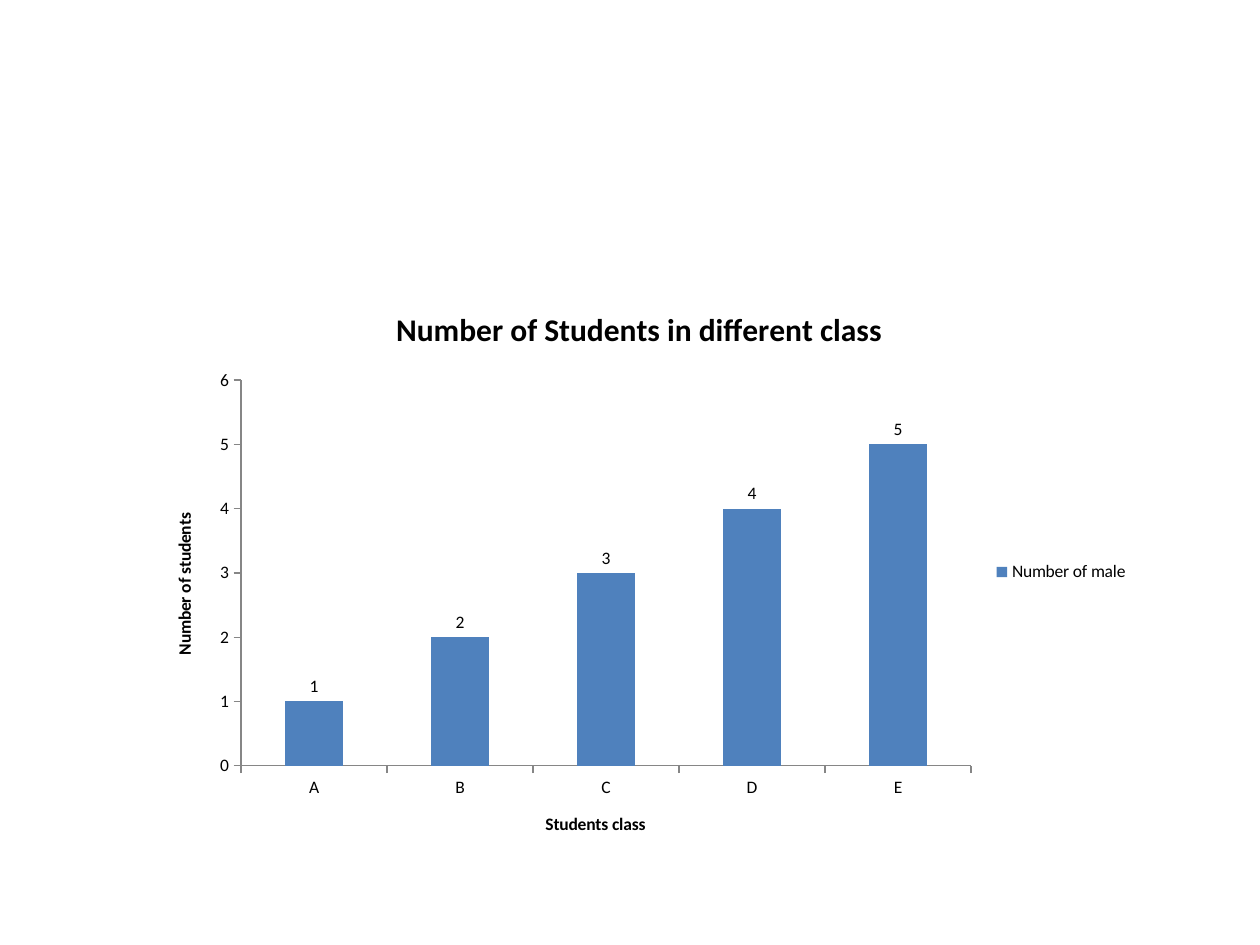
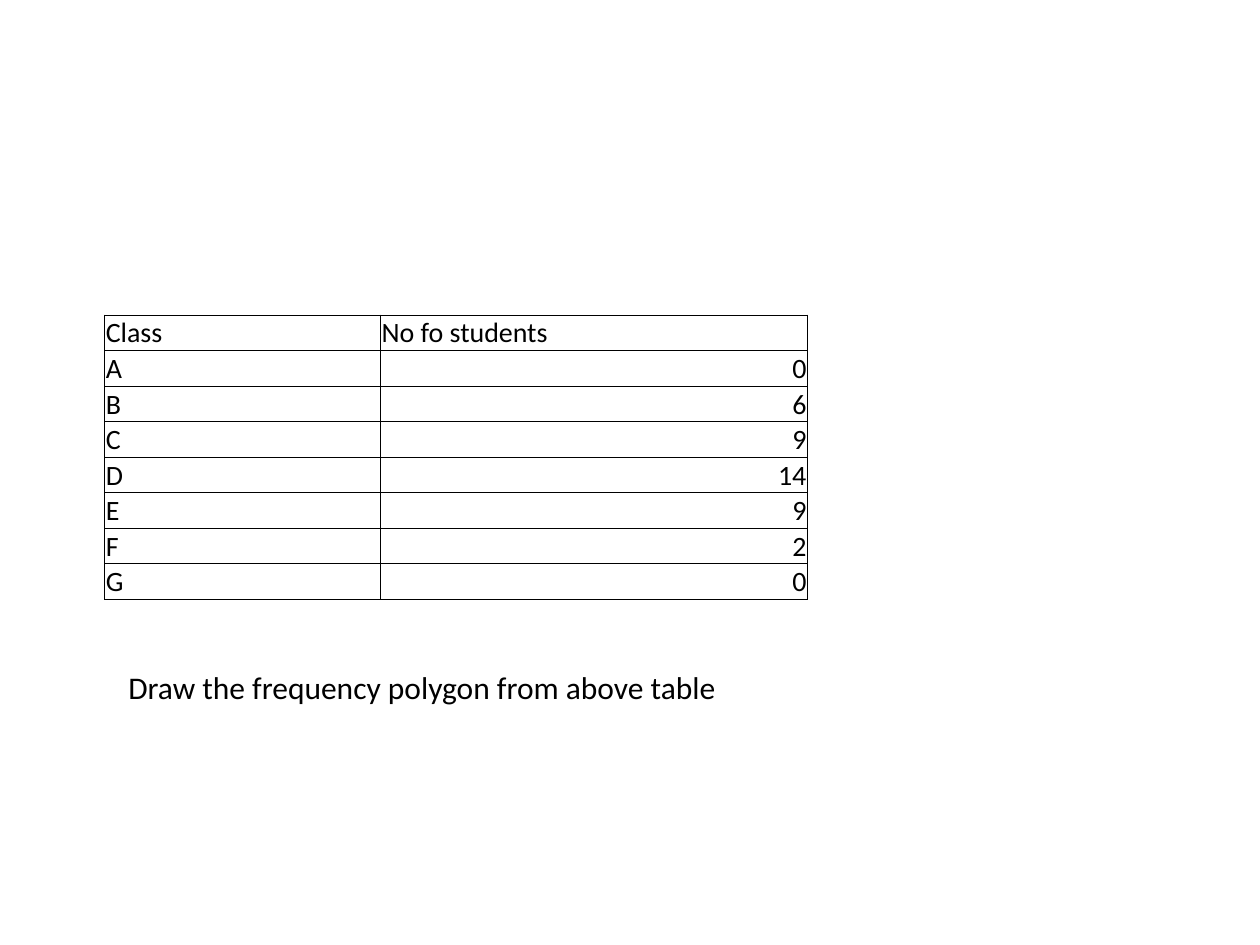
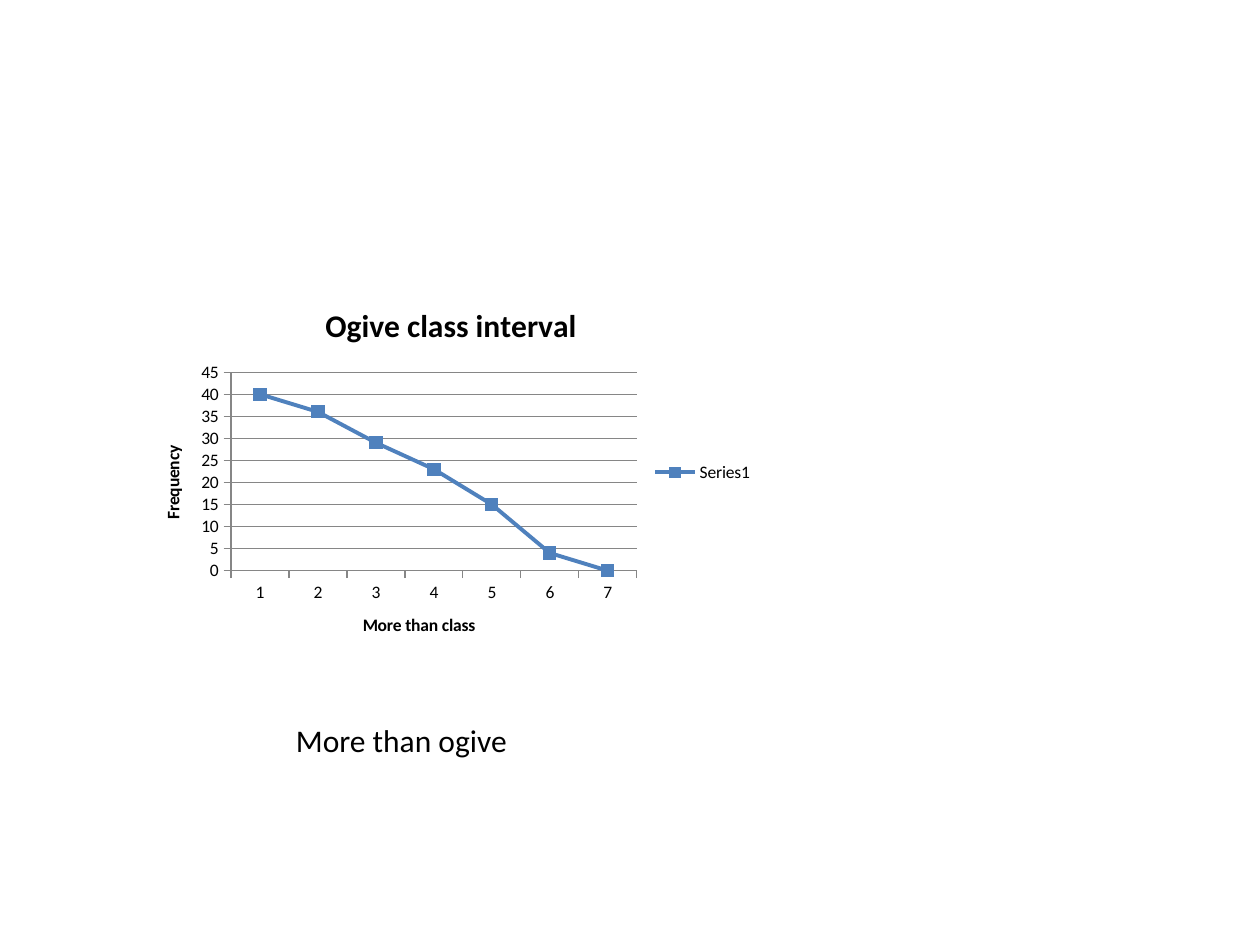
from lxml import etree
from pptx import Presentation
from pptx.chart.data import CategoryChartData
from pptx.dml.color import RGBColor
from pptx.enum.chart import (XL_CHART_TYPE, XL_LABEL_POSITION, XL_LEGEND_POSITION,
                             XL_MARKER_STYLE, XL_TICK_MARK)
from pptx.enum.text import MSO_ANCHOR, MSO_AUTO_SIZE, PP_ALIGN
from pptx.oxml.ns import qn
from pptx.util import Inches, Pt

FONT = "Calibri"
COLORS = {"text": "000000", "series": "4F81BD", "axis": "868686", "border": "000000"}

BAR = {
    "kind": XL_CHART_TYPE.COLUMN_CLUSTERED, "at": (1.17, 2.25, 7.92, 4.58),
    "title": "Number of Students in different class  ",
    "axes": ("Students class", "Number of students"),
    "cats": list("ABCDE"), "name": "Number of male ", "vals": (1, 2, 3, 4, 5), "grid": False,
}
OGIVE = {
    "kind": XL_CHART_TYPE.LINE_MARKERS, "at": (1.08, 2.25, 5, 3),
    "title": "Ogive class interval",
    "axes": ("More than class", "Frequency"),
    "cats": list("1234567"), "name": "Series1", "vals": (40, 36, 29, 23, 15, 4, 0), "grid": True,
}
ROWS = [("Class", "No fo students"), ("A", 0), ("B", 6), ("C", 9),
        ("D", 14), ("E", 9), ("F", 2), ("G", 0)]
WIDTHS = (2.19, 3.39)
ROW_H = 0.28
TASK = ("Draw the frequency polygon from above table", (0.92, 5.25, 6.17, 0.4))
CAPTION = ("More than ogive", (2.25, 5.67, 5, 0.4))


def rgb(key):
    return RGBColor.from_string(COLORS[key])


def inches(box):
    return [Inches(n) for n in box]


def style(font, size, bold=False):
    font.name, font.size, font.bold = FONT, Pt(size), bold
    font.color.rgb = rgb("text")


def add_text(slide, text, at):
    frame = slide.shapes.add_textbox(*inches(at)).text_frame
    frame.word_wrap = True
    frame.auto_size = MSO_AUTO_SIZE.SHAPE_TO_FIT_TEXT
    frame.text = text
    style(frame.paragraphs[0].font, 18)


def set_title(owner, text, size):
    """Title a chart or an axis."""
    title = owner.chart_title if hasattr(owner, "chart_title") else owner.axis_title
    title.text_frame.text = text
    style(title.text_frame.paragraphs[0].font, size, True)


def add_chart(slide, info):
    data = CategoryChartData()
    data.categories = info["cats"]
    data.add_series(info["name"], info["vals"])
    chart = slide.shapes.add_chart(info["kind"], *inches(info["at"]), data).chart
    style(chart.font, 10)
    set_title(chart, info["title"], 18)
    chart.has_legend = True
    chart.legend.position = XL_LEGEND_POSITION.RIGHT
    chart.legend.include_in_layout = False
    for axis, text in zip((chart.category_axis, chart.value_axis), info["axes"]):
        set_title(axis, text, 10)
        axis.major_tick_mark = XL_TICK_MARK.OUTSIDE
        axis.minor_tick_mark = XL_TICK_MARK.NONE
        axis.format.line.color.rgb = rgb("axis")
        axis.format.line.width = Pt(0.75)
    value = chart.value_axis
    value.has_major_gridlines = info["grid"]
    if info["grid"]:
        value.major_gridlines.format.line.color.rgb = rgb("axis")
        value.major_gridlines.format.line.width = Pt(0.75)
    chart.plots[0].vary_by_categories = False
    return chart.plots[0]


def add_bars(slide):
    plot = add_chart(slide, BAR)
    plot.gap_width = 150
    fill = plot.series[0].format.fill
    fill.solid()
    fill.fore_color.rgb = rgb("series")
    plot.has_data_labels = True
    labels = plot.data_labels
    labels.show_value = True
    labels.position = XL_LABEL_POSITION.OUTSIDE_END
    style(labels.font, 10)


def add_ogive(slide):
    series = add_chart(slide, OGIVE).series[0]
    series.smooth = False
    series.format.line.color.rgb = rgb("series")
    series.format.line.width = Pt(2.25)
    marker = series.marker
    marker.style, marker.size = XL_MARKER_STYLE.SQUARE, 7
    marker.format.fill.solid()
    marker.format.fill.fore_color.rgb = rgb("series")
    marker.format.line.color.rgb = rgb("series")


def add_borders(cell):
    props = cell._tc.get_or_add_tcPr()
    for spot, side in enumerate(("lnL", "lnR", "lnT", "lnB")):
        line = etree.Element(qn("a:" + side), w=str(Pt(0.5)))
        fill = etree.SubElement(line, qn("a:solidFill"))
        etree.SubElement(fill, qn("a:srgbClr"), val=COLORS["border"])
        props.insert(spot, line)


def add_table(slide):
    box = inches((0.83, 2.5, sum(WIDTHS), ROW_H * len(ROWS)))
    table = slide.shapes.add_table(len(ROWS), len(WIDTHS), *box).table
    table.first_row = table.horz_banding = False
    for col, width in zip(table.columns, WIDTHS):
        col.width = Inches(width)
    for row, values in zip(table.rows, ROWS):
        row.height = Inches(ROW_H)
        for cell, value in zip(row.cells, values):
            cell.text = str(value)
            cell.fill.background()
            cell.vertical_anchor = MSO_ANCHOR.BOTTOM
            cell.margin_left = cell.margin_top = cell.margin_right = Inches(0.01)
            cell.margin_bottom = 0
            para = cell.text_frame.paragraphs[0]
            para.alignment = PP_ALIGN.RIGHT if isinstance(value, int) else PP_ALIGN.LEFT
            style(para.font, 16)
            add_borders(cell)


def main():
    deck = Presentation()
    deck.slide_width, deck.slide_height = Inches(10), Inches(7.5)
    blank = deck.slide_layouts[6]
    first, second, third = [deck.slides.add_slide(blank) for _ in range(3)]
    add_bars(first)
    add_table(second)
    add_text(second, *TASK)
    add_ogive(third)
    add_text(third, *CAPTION)
    deck.save("out.pptx")


if __name__ == "__main__":
    main()
